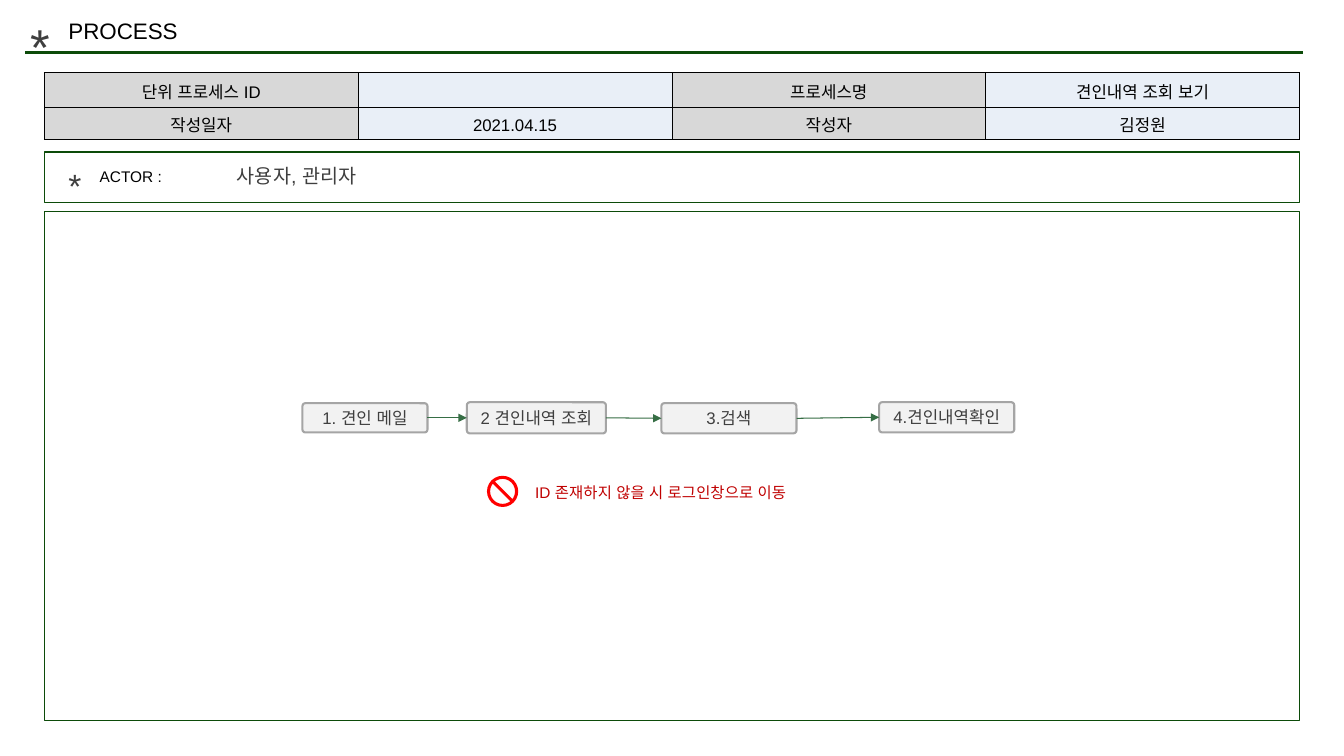
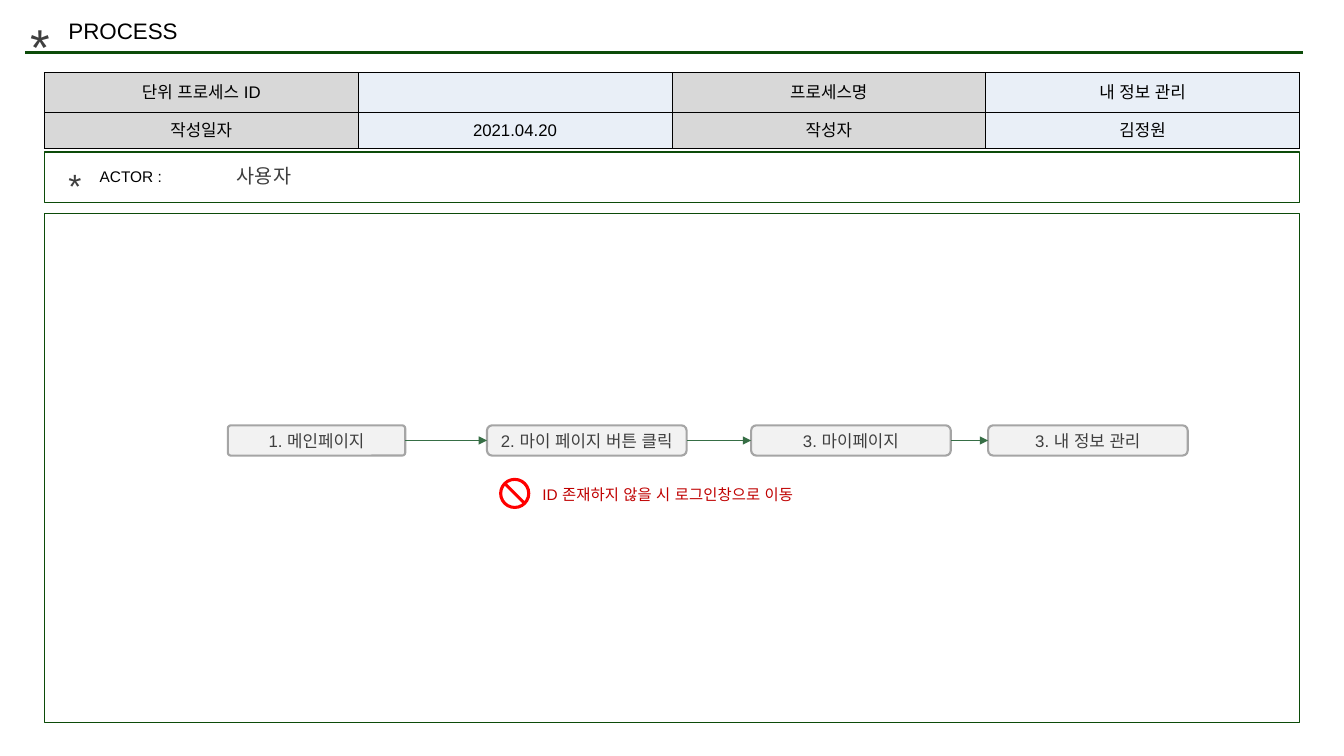
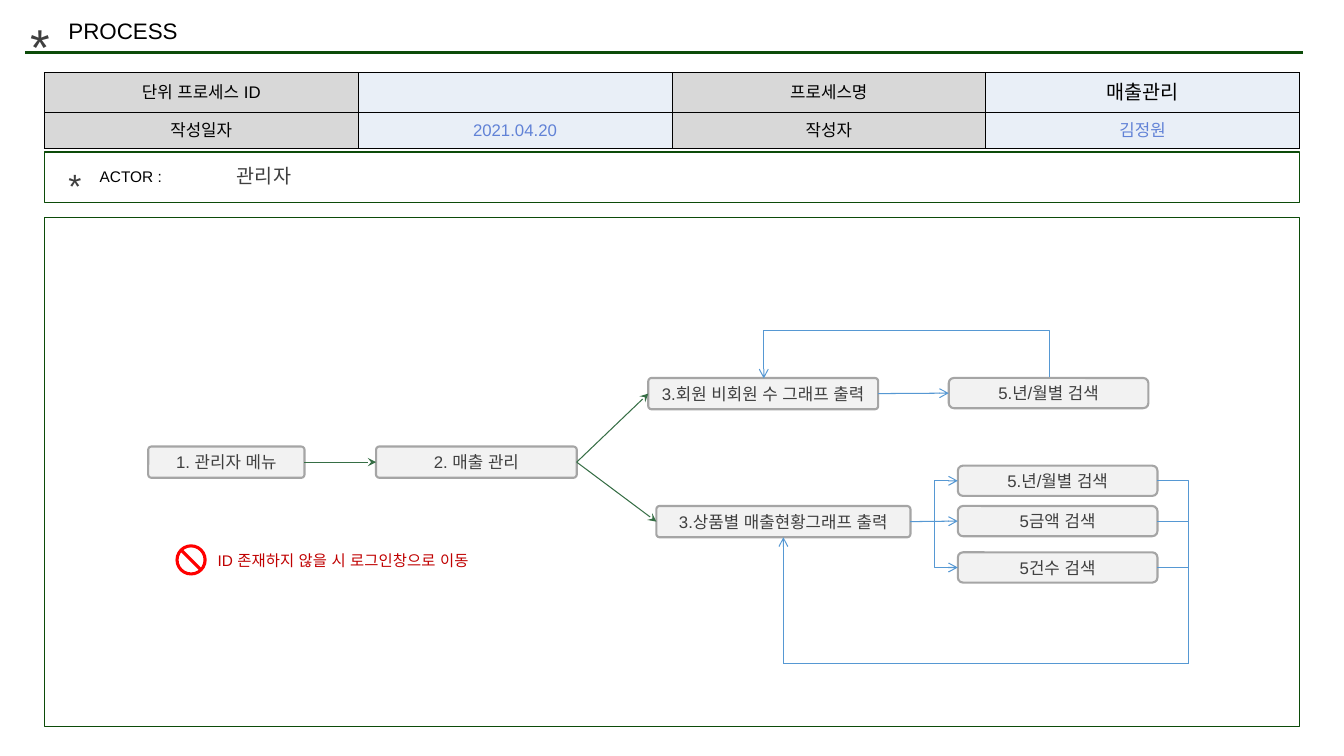
from lxml import etree
from pptx import Presentation
from pptx.dml.color import RGBColor
from pptx.enum.shapes import MSO_CONNECTOR, MSO_SHAPE
from pptx.enum.text import MSO_ANCHOR, PP_ALIGN
from pptx.oxml.ns import qn
from pptx.util import Inches, Pt

STRAIGHT, ELBOW = MSO_CONNECTOR.STRAIGHT, MSO_CONNECTOR.ELBOW
RECTANGLE, ROUNDED = MSO_SHAPE.RECTANGLE, MSO_SHAPE.ROUNDED_RECTANGLE
NO_SYMBOL = MSO_SHAPE.NO_SYMBOL
LEFT, CENTER = PP_ALIGN.LEFT, PP_ALIGN.CENTER
TOP, MIDDLE = MSO_ANCHOR.TOP, MSO_ANCHOR.MIDDLE
LEFT_SITE, RIGHT_SITE = 1, 3

FONT = "Arial"
COLORS = {
    "rule": "0C4B09", "ink": "3F3F3F", "black": "000000",
    "label": "D8D8D8", "value": "E9EFF7", "entry": "6182D6",
    "step": "F2F2F2", "edge": "A5A5A5", "flow": "366E45",
    "search": "5698D3", "stop": "FF0000", "warning": "C00000",
}
MARGIN, CONTENT_WIDTH = 4.4, 124.5


def grid(cells):
    return Inches(cells / 10)


def color(name):
    return RGBColor.from_string(COLORS[name])


def write(frame, text, size=12, ink="ink", align=LEFT, anchor=TOP, inset=None):
    frame.word_wrap = True
    frame.vertical_anchor = anchor
    if inset is not None:
        frame.margin_left = frame.margin_right = grid(inset)
        frame.margin_top = frame.margin_bottom = grid(inset)
    para = frame.paragraphs[0]
    para.alignment = align
    span = para.add_run()
    span.text = text
    span.font.name = FONT
    span.font.size = Pt(size)
    span.font.color.rgb = color(ink)
    east_asian = etree.SubElement(span.font._element, qn("a:ea"))
    east_asian.set("typeface", FONT)


class ProcessDeck:
    def __init__(self):
        self.deck = Presentation()
        self.deck.slide_width = Inches(13.33)
        self.deck.slide_height = Inches(7.5)
        self.page = None

    def start(self, name, date, actor, rows, frame_top,
              cell_bottom=0.5, name_size=12, entry_ink="black"):
        self.page = self.deck.slides.add_slide(self.deck.slide_layouts[6])
        self.line((2.5, 5.2), (129.2, 5.2), ink="rule", width=2.25)
        self.text(2, 1, 5.2, 7.1, "*", size=36)
        self.text(5.8, 1.2, 43.2, 3.7, "PROCESS", size=16, ink="black")
        self.table([
            [("단위 프로세스 ID", {}), ("", {}), ("프로세스명", {}), (name, {"size": name_size})],
            [("작성일자", {}), (date, {"ink": entry_ink}),
             ("작성자", {}), ("김정원", {"ink": entry_ink})],
        ], rows, cell_bottom)
        self.text(5.8, 15.9, 5.2, 4.9, "*", size=24)
        self.text(8.9, 16.1, 13.3, 2.9, "ACTOR :", size=11, ink="black")
        self.frame(15.1, 5)
        self.text(22.5, 15.8, 43.2, 3.3, actor, size=14)
        self.frame(frame_top, 50.5)

    def text(self, left, top, width, height, text, **style):
        box = self.page.shapes.add_textbox(*map(grid, (left, top, width, height)))
        write(box.text_frame, text, **style)

    def shape(self, kind, left, top, width, height, fill=None, edge=None, weight=1):
        box = self.page.shapes.add_shape(kind, *map(grid, (left, top, width, height)))
        box.shadow.inherit = False
        if fill:
            box.fill.solid()
            box.fill.fore_color.rgb = color(fill)
        else:
            box.fill.background()
        if edge:
            box.line.color.rgb = color(edge)
            box.line.width = Pt(weight)
        else:
            box.line.fill.background()
        return box

    def frame(self, top, height):
        self.shape(RECTANGLE, MARGIN, top, CONTENT_WIDTH, height, edge="rule")

    def step(self, left, top, width, text, height=3, corner=0.1):
        box = self.shape(ROUNDED, left, top, width, height, "step", "edge", 1.5)
        box.adjustments[0] = corner
        write(box.text_frame, text, align=CENTER, anchor=MIDDLE, inset=0.4)
        return box

    def warning(self, left, top, text_left):
        sign = self.shape(NO_SYMBOL, left, top, 3.1, 3.1, fill="stop")
        sign.adjustments[0] = 0.1
        self.text(text_left, top + 0.2, 29.5, 2.9,
                  "ID 존재하지 않을 시 로그인창으로 이동", size=11, ink="warning")

    def line(self, start, end, ink="flow", width=0.75, head=None, kind=STRAIGHT):
        connector = self.page.shapes.add_connector(kind, *map(grid, (*start, *end)))
        connector.line.color.rgb = color(ink)
        connector.line.width = Pt(width)
        if head:
            tail = etree.SubElement(connector.line._get_or_add_ln(), qn("a:tailEnd"))
            tail.set("type", head)
        etree.SubElement(connector._element.spPr, qn("a:effectLst"))
        return connector

    def link(self, source, target, **style):
        connector = self.line((0, 0), (1, 1), **style)
        connector.begin_connect(source, RIGHT_SITE)
        connector.end_connect(target, LEFT_SITE)

    def corner(self, start, end, ink):
        connector = self.line(start, end, ink=ink, kind=ELBOW)
        connector._element.spPr.find(qn("a:prstGeom")).set("prst", "bentConnector2")

    def loop_back(self, right, left, top, rise, ink):
        center, half, depth = (left + right) / 2, (right - left) / 2, 0.1
        connector = self.line((center, top - half), (center + depth, top + half),
                              ink=ink, head="arrow", kind=ELBOW)
        properties = connector._element.spPr
        properties.find(qn("a:xfrm")).set("rot", str(90 * 60000))
        guides = properties.find(qn("a:prstGeom")).get_or_add_avLst()
        guide = etree.SubElement(guides, qn("a:gd"))
        guide.set("name", "adj1")
        guide.set("fmla", f"val {round(-rise / depth * 100000)}")

    def table(self, cells, rows, cell_bottom):
        holder = self.page.shapes.add_table(
            len(cells), len(cells[0]),
            *map(grid, (MARGIN, 7.2, CONTENT_WIDTH, sum(rows))))
        table = holder.table
        table.first_row = table.horz_banding = False
        for row, height in zip(table.rows, rows):
            row.height = grid(height)
        for row_index, row in enumerate(cells):
            for column_index, (text, style) in enumerate(row):
                cell = table.cell(row_index, column_index)
                cell.margin_bottom = grid(cell_bottom)
                cell.vertical_anchor = MIDDLE
                write(cell.text_frame, text,
                      **{"ink": "black", "align": CENTER, "anchor": MIDDLE, **style})
                self.borders(cell)
                cell.fill.solid()
                cell.fill.fore_color.rgb = color("value" if column_index % 2 else "label")

    def borders(self, cell):
        properties = cell._tc.get_or_add_tcPr()
        for side in ("lnL", "lnR", "lnT", "lnB"):
            border = etree.SubElement(properties, qn(f"a:{side}"), w=str(Pt(0.75)))
            fill = etree.SubElement(border, qn("a:solidFill"))
            etree.SubElement(fill, qn("a:srgbClr"), val=COLORS["black"])

    def chain(self, steps, head):
        for source, target in zip(steps, steps[1:]):
            self.link(source, target, head=head)


def towing_history(deck):
    deck.start("견인내역 조회 보기", "2021.04.15", "사용자, 관리자",
               rows=(3, 3.1), frame_top=21, cell_bottom=0)
    deck.chain([
        deck.step(30, 40, 12.4, "1. 견인 메일", height=2.9),
        deck.step(46.3, 39.9, 13.8, "2 견인내역 조회", height=3.1),
        deck.step(65.6, 40, 13.4, "3.검색"),
        deck.step(87.2, 39.9, 13.4, "4.견인내역확인"),
    ], "triangle")
    deck.warning(48.3, 47.2, 52.1)


def my_information(deck):
    deck.start("내 정보 관리", "2021.04.20", "사용자", rows=(3.4, 3.5), frame_top=21.2)
    top, width, corner = 42.2, 19.8, 0.17
    deck.chain([
        deck.step(22.6, top, 17.6, "1. 메인페이지"),
        deck.step(48.3, top, width, "2. 마이 페이지 버튼 클릭", corner=corner),
        deck.step(74.5, top, width, "3. 마이페이지", corner=corner),
        deck.step(98, top, width, "3. 내 정보 관리", corner=corner),
    ], "triangle")
    deck.warning(49.5, 47.4, 52.8)


def sales(deck):
    deck.start("매출관리", "2021.04.20", "관리자", rows=(3.8, 3.5), frame_top=21.6,
               name_size=14, entry_ink="entry")
    height, width, corner = 3.1, 19.8, 0.17
    menu = deck.step(14.7, 44.3, 15.5, "1. 관리자 메뉴", height=height)
    management = deck.step(37.3, 44.3, 19.9, "2. 매출 관리", height=height)
    members = deck.step(64.3, 37.5, 22.8, "3.회원 비회원 수 그래프 출력", height=height)
    products = deck.step(65.1, 50.2, 25.2, "3.상품별 매출현황그래프 출력", height=height)
    deck.chain([menu, management], "stealth")
    for graph in (members, products):
        deck.link(management, graph, head="stealth")

    period = deck.step(94.1, 37.5, width, "5.년/월별 검색", corner=corner)
    deck.link(members, period, ink="search", head="arrow")
    deck.loop_back(104, 75.7, 37.5, 4.7, "search")

    left, turn, bottom, entry = 95, 117.9, 65.8, 77.7
    searches = [
        (46.2, "5.년/월별 검색", ELBOW),
        (50.2, "5금액 검색", STRAIGHT),
        (54.8, "5건수 검색", ELBOW),
    ]
    for top, text, kind in searches:
        search = deck.step(left, top, width, text, corner=corner)
        deck.link(products, search, ink="search", head="arrow", kind=kind)
        deck.corner((left + width, top + 1.5), (turn, bottom), "search")
    deck.line((turn, bottom), (entry, bottom), ink="search")
    deck.line((entry, bottom), (entry, 53.3), ink="search", head="arrow")
    deck.warning(17.4, 54, 20.6)


process = ProcessDeck()
for build in (towing_history, my_information, sales):
    build(process)
process.deck.save("out.pptx")
